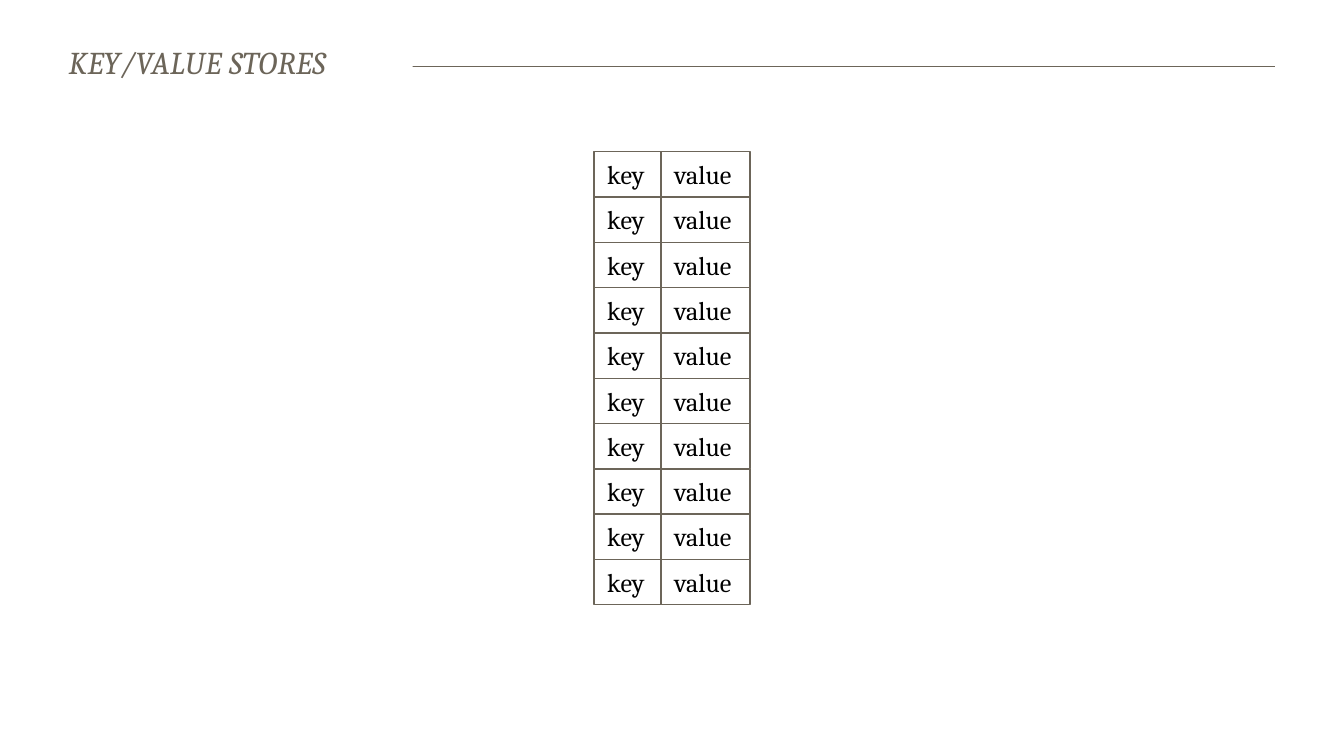
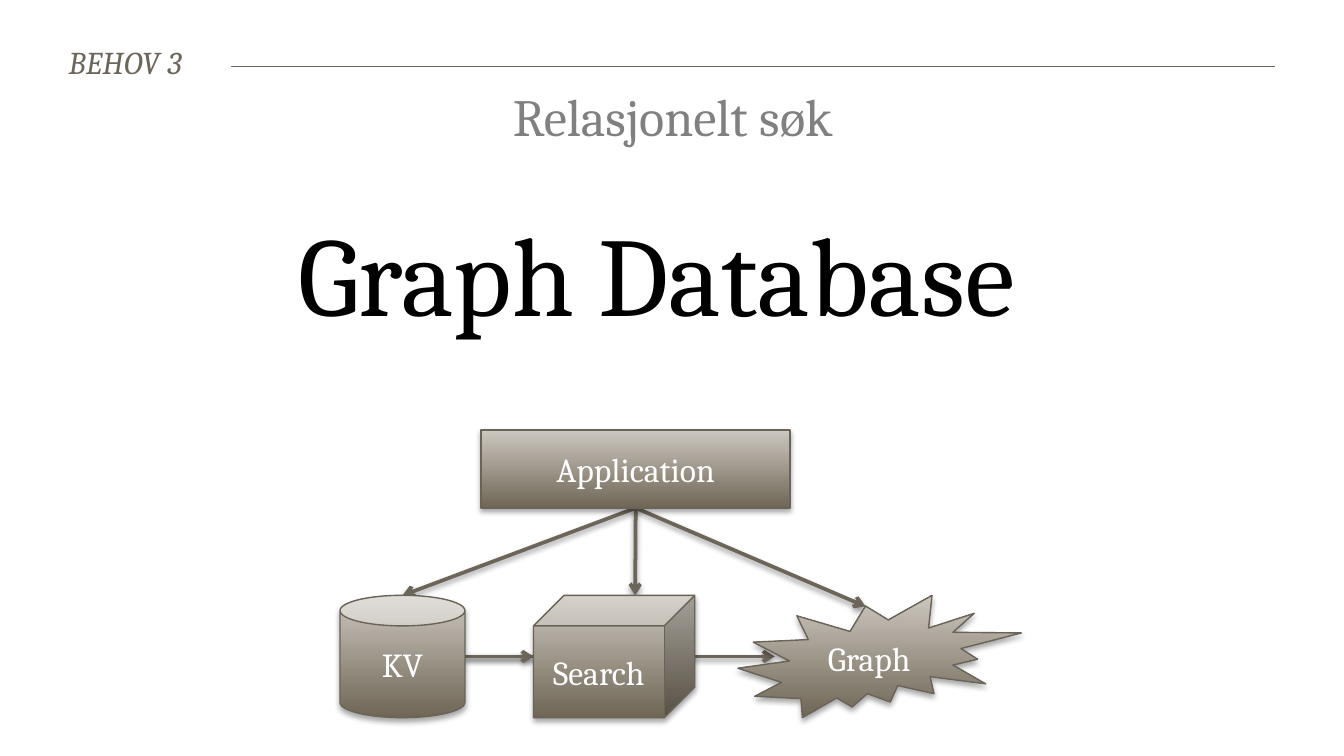
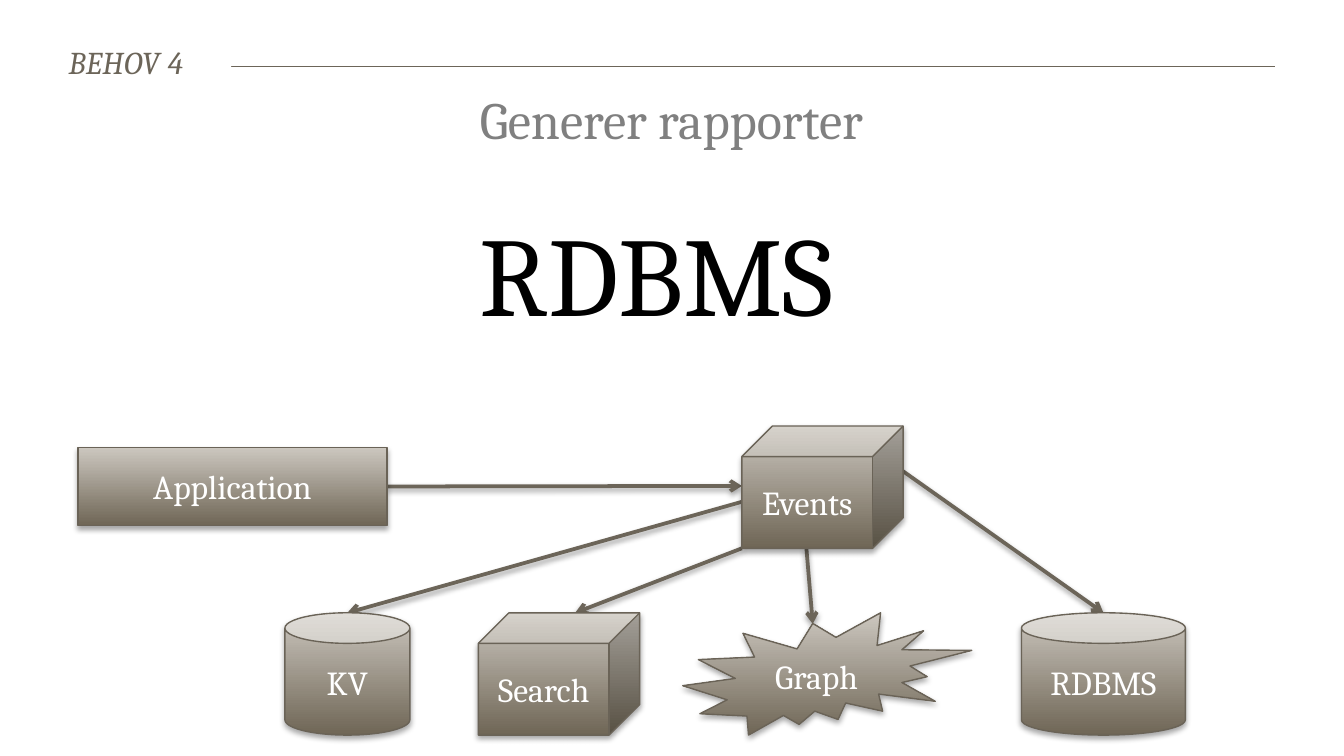
"""Build three slides about key/value stores, graph databases and RDBMS."""
from dataclasses import dataclass
from typing import NamedTuple

from lxml.etree import SubElement
from pptx import Presentation
from pptx.dml.color import RGBColor
from pptx.enum.shapes import MSO_CONNECTOR as Connector, MSO_SHAPE as Shape
from pptx.enum.text import MSO_ANCHOR as Anchor, MSO_AUTO_SIZE as AutoSize, PP_ALIGN as Align
from pptx.oxml.ns import qn
from pptx.util import Inches, Pt


@dataclass(frozen=True)
class Theme:
    """Colours, font and sizes shared by the slides."""
    font: str = "Cambria"
    accent: str = "6C6559"
    outline: str = "6A6357"
    gradient: tuple = ("6F6656", "CCC7BF")
    white: str = "FFFFFF"
    black: str = "000000"
    grey: str = "808080"
    title_size: float = 17
    cell_size: float = 14
    node_size: float = 18
    need_size: float = 28
    answer_size: float = 60
    rule_width: float = 0.2
    outline_width: float = 0.75
    arrow_width: float = 2


class Box(NamedTuple):
    """A rectangle in inches."""
    left: float
    top: float
    width: float
    height: float

    def point(self, site):
        """Return the point at the given fractions of width and height."""
        return self.left + site[0] * self.width, self.top + site[1] * self.height

    def inches(self):
        """Return the four lengths for python-pptx."""
        return [Inches(length) for length in self]


THEME = Theme()
TITLE_ONLY = 5
TOP, BOTTOM, LEFT, RIGHT = (0.5, 0), (0.5, 1), (0, 0.5), (1, 0.5)
SEAL_TOP, SEAL_LEFT = (0.45, 0.09), (0.13, 0.5)


def color(value):
    """Turn a hex string into a colour."""
    return RGBColor.from_string(value)


def write(shape, text, size, text_color, align=Align.CENTER, italic=False):
    """Put one formatted paragraph in a shape and return it."""
    paragraph = shape.text_frame.paragraphs[0]
    paragraph.text = text
    paragraph.alignment = align
    font = paragraph.font
    font.name, font.size, font.italic = THEME.font, Pt(size), italic
    font.color.rgb = color(text_color)
    return paragraph


def fit_to_text(shape):
    """Let a shape grow around unwrapped text."""
    shape.text_frame.word_wrap = False
    shape.text_frame.auto_size = AutoSize.SHAPE_TO_FIT_TEXT


def set_line(shape, line_color, width):
    """Format the line of a shape or connector."""
    shape.line.color.rgb = color(line_color)
    shape.line.width = Pt(width)


def set_shadow(shape, opacity=None, distance=0):
    """Replace the inherited shadow by a downward one, or by none."""
    effects = SubElement(shape.element.spPr, qn("a:effectLst"))
    if opacity:
        shadow = SubElement(effects, qn("a:outerShdw"), blurRad=str(Pt(3.1)),
                            dist=str(Pt(distance)), dir="5400000", rotWithShape="0")
        shade = SubElement(shadow, qn("a:srgbClr"), val=THEME.black)
        SubElement(shade, qn("a:alpha"), val=str(opacity * 1000))


def add_line(slide, start, end, width):
    """Draw a straight line between two points."""
    line = slide.shapes.add_connector(
        Connector.STRAIGHT, *[Inches(length) for length in (*start, *end)])
    set_line(line, THEME.accent, width)
    return line


def add_arrow(slide, start, end):
    """Draw an arrow with a soft shadow."""
    arrow = add_line(slide, start, end, THEME.arrow_width)
    SubElement(arrow.element.spPr.find(qn("a:ln")), qn("a:tailEnd"), type="arrow")
    set_shadow(arrow, 38, 1.6)


def add_title_rule(slide):
    """Put the rule behind the titles on the shared layout."""
    rule = add_line(slide, (0.53, 0.49), (9.49, 0.49), THEME.rule_width)
    set_shadow(rule)
    slide.slide_layout.shapes.element.append(rule.element)


def add_titled_slide(presentation, text, title_width):
    """Add a slide whose title covers the start of the rule."""
    slide = presentation.slides.add_slide(presentation.slide_layouts[TITLE_ONLY])
    title = slide.shapes.title
    title.left, title.top, title.width, title.height = Box(0.41, 0.32, title_width, 0.29).inches()
    title.fill.solid()
    title.fill.fore_color.rgb = color(THEME.white)
    frame = title.text_frame
    frame.margin_left = frame.margin_right = Inches(0.1)
    frame.margin_top = frame.margin_bottom = 0
    frame.vertical_anchor = Anchor.TOP
    fit_to_text(title)
    paragraph = write(title, text, THEME.title_size, THEME.accent, Align.LEFT, italic=True)
    paragraph.runs[0]._r.get_or_add_rPr().set("spc", "20")
    return slide


def add_cell(group, box, text):
    """Add one outlined cell to a group."""
    cell = group.shapes.add_shape(Shape.RECTANGLE, *box.inches())
    cell.fill.background()
    set_line(cell, THEME.accent, THEME.outline_width)
    set_shadow(cell)
    cell.text_frame.vertical_anchor = Anchor.TOP
    fit_to_text(cell)
    paragraph = write(cell, text, THEME.cell_size, THEME.black, Align.LEFT)
    paragraph.space_after = Pt(4)


def add_store(slide, box, row_count):
    """Stack grouped key/value pairs in a box."""
    key_width = 0.5
    row_height = box.height / row_count
    for row in range(row_count):
        top = box.top + row * row_height
        pair = slide.shapes.add_group_shape()
        add_cell(pair, Box(box.left, top, key_width, row_height), "key")
        add_cell(pair, Box(box.left + key_width, top, box.width - key_width, row_height), "value")


def add_heading(slide, box, text, size, text_color):
    """Add a centred line of text."""
    heading = slide.shapes.add_textbox(*box.inches())
    fit_to_text(heading)
    write(heading, text, size, text_color)


def add_node(slide, kind, box, text):
    """Add one labelled part of the architecture."""
    node = slide.shapes.add_shape(kind, *box.inches())
    node.fill.gradient()
    node.fill.gradient_angle = 90
    for stop, shade in zip(node.fill.gradient_stops, THEME.gradient):
        stop.color.rgb = color(shade)
    set_line(node, THEME.outline, THEME.outline_width)
    set_shadow(node, 35, 1.8)
    node.text_frame.word_wrap = True
    node.text_frame.vertical_anchor = Anchor.MIDDLE
    write(node, text, THEME.node_size, THEME.white)


def add_architecture(slide, left, top, nodes, arrows):
    """Draw nodes, offset from a corner, over the arrows that join them."""
    boxes = {name: Box(left + box.left, top + box.top, box.width, box.height)
             for name, (_, box) in nodes.items()}
    for source, source_site, target, target_site in arrows:
        add_arrow(slide, boxes[source].point(source_site), boxes[target].point(target_site))
    for name, (kind, _) in nodes.items():
        add_node(slide, kind, boxes[name], name)


def storage_nodes(left, top, graph_width):
    """Return the key/value, search and graph nodes shared by both diagrams."""
    return {
        "KV": (Shape.CAN, Box(left, top, 0.93, 0.91)),
        "Search": (Shape.CUBE, Box(left + 1.44, top, 1.2, 0.91)),
        "Graph": (Shape.EXPLOSION2, Box(left + 2.96, top, graph_width, 0.91)),
    }


def add_need_slide(presentation, title, need, need_box, answer, answer_box):
    """Add a slide that names a need and the database that answers it."""
    slide = add_titled_slide(presentation, title, 1.31)
    add_heading(slide, answer_box, answer, THEME.answer_size, THEME.black)
    add_heading(slide, need_box, need, THEME.need_size, THEME.grey)
    return slide


def build_store_slide(presentation):
    """Build the key/value store slide."""
    slide = add_titled_slide(presentation, "KEY/VALUE STORES", 2.66)
    add_title_rule(slide)
    add_store(slide, Box(4.42, 1.13, 1.16, 3.37), 10)


def build_graph_slide(presentation):
    """Build the relational search slide."""
    slide = add_need_slide(presentation, "BEHOV 3", "Relasjonelt søk", Box(3.59, 0.58, 2.83, 0.57),
                           "Graph Database", Box(1.79, 1.47, 6.19, 1.11))
    nodes = {"Application": (Shape.RECTANGLE, Box(1.05, 0, 2.3, 0.58)),
             **storage_nodes(0, 1.23, 2.11)}
    arrows = [
        ("KV", RIGHT, "Graph", SEAL_LEFT),
        ("Application", BOTTOM, "KV", TOP),
        ("Application", BOTTOM, "Search", (0.63, 0)),
        ("Application", BOTTOM, "Graph", SEAL_TOP),
        ("KV", RIGHT, "Search", LEFT),
    ]
    add_architecture(slide, 2.53, 3.2, nodes, arrows)


def build_report_slide(presentation):
    """Build the reporting slide."""
    slide = add_need_slide(presentation, "BEHOV 4", "Generer rapporter", Box(3.31, 0.6, 3.37, 0.57),
                           "RDBMS", Box(3.27, 1.47, 3.23, 1.11))
    nodes = {"Application": (Shape.RECTANGLE, Box(0, 0.16, 2.3, 0.58)),
             **storage_nodes(1.54, 1.39, 2.15),
             "Events": (Shape.CUBE, Box(4.94, 0, 1.2, 0.91)),
             "RDBMS": (Shape.CAN, Box(7.02, 1.39, 1.22, 0.91))}
    arrows = [
        ("Events", (0, 0.62), "KV", TOP),
        ("Events", (0, 1), "Search", (0.6, 0)),
        ("Events", (0.4, 1), "Graph", SEAL_TOP),
        ("Events", (1, 0.37), "RDBMS", TOP),
        ("Application", RIGHT, "Events", (0, 0.49)),
    ]
    add_architecture(slide, 0.58, 3.17, nodes, arrows)


def main():
    """Build and save the presentation."""
    presentation = Presentation()
    presentation.slide_width = Inches(10)
    presentation.slide_height = presentation.slide_width * 9 // 16
    build_store_slide(presentation)
    build_graph_slide(presentation)
    build_report_slide(presentation)
    presentation.save("out.pptx")


if __name__ == "__main__":
    main()
